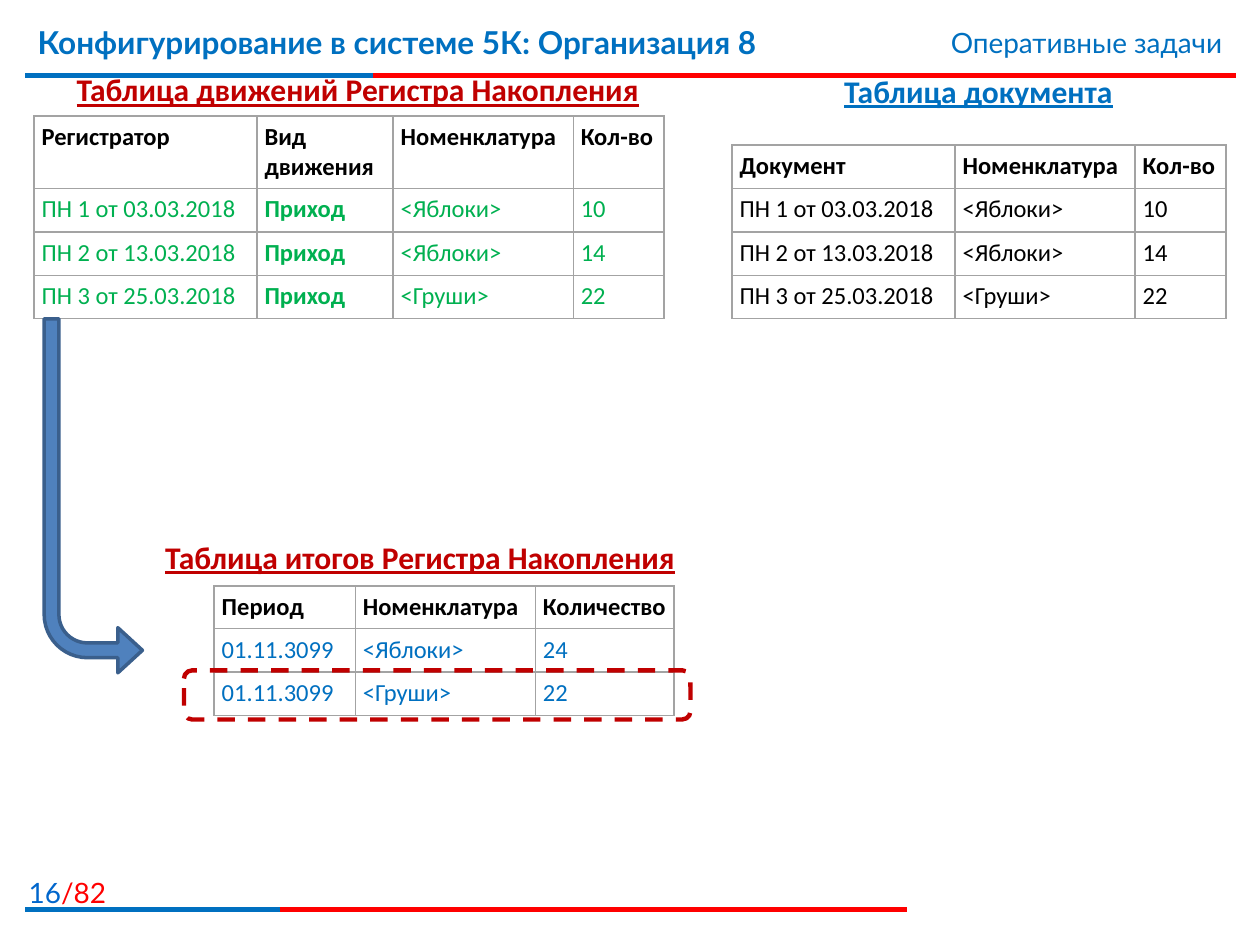
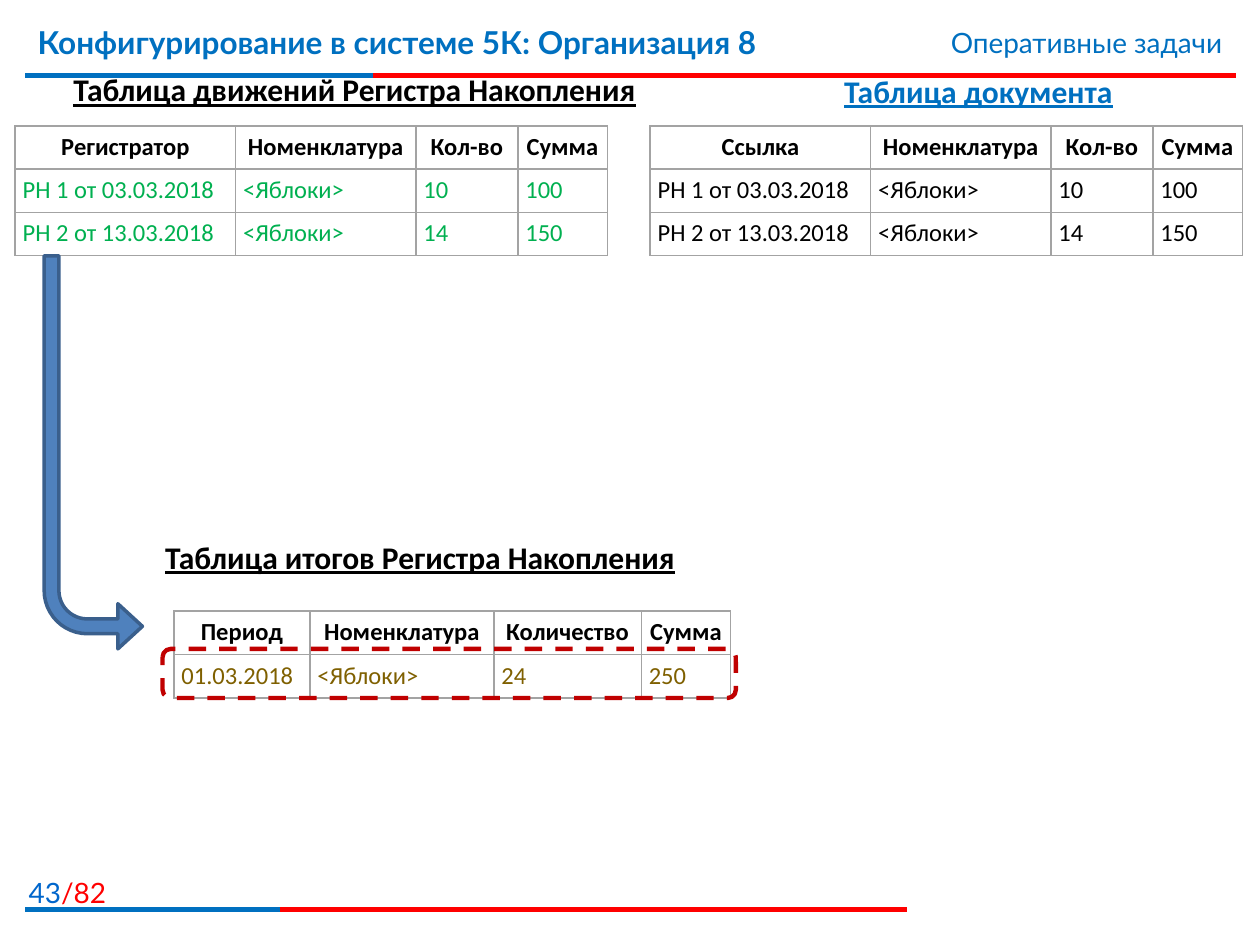
from pptx import Presentation
from pptx.dml.color import RGBColor
from pptx.enum.dml import MSO_LINE
from pptx.enum.shapes import MSO_CONNECTOR, MSO_SHAPE
from pptx.enum.text import PP_ALIGN
from pptx.oxml import parse_xml
from pptx.oxml.ns import nsdecls, qn
from pptx.oxml.xmlchemy import OxmlElement
from pptx.util import Pt

PX = 9144
ROW = 69 * PX // 2
LEFT, CENTER, RIGHT = PP_ALIGN.LEFT, PP_ALIGN.CENTER, PP_ALIGN.RIGHT
STRAIGHT, DASH = MSO_CONNECTOR.STRAIGHT, MSO_LINE.DASH
BENT, ROUND = MSO_SHAPE.BENT_ARROW, MSO_SHAPE.ROUNDED_RECTANGLE
BEND = (0.15, 0.23, 0.25, 0.44)
COLORS = {
    "blue": "0070C0", "page": "0066CC", "red": "FF0000", "crimson": "C00000",
    "green": "00B050", "olive": "7F6000", "black": "000000",
    "grid": "A3A3A3", "arrow": "4F81BD", "edge": "3A5F8C",
}
HEAD, BODY = "Lato", "Calibri"
COURSE = "Конфигурирование в системе 5К: Организация 8"
TOPIC = "Оперативные задачи"
TOTAL = "/82"
MOVES = "Таблица движений Регистра Накопления"
SUMS = "Таблица итогов Регистра Накопления"
DOCS = "Таблица документа"
RULES = [
    (60, 981, "red"), (60, 296, "blue"),
    (722, 720, "red"), (722, 222, "blue"),
]

STOCK = [
    ("ПН 1 от 03.03.2018", "<Яблоки>", "10"),
    ("ПН 2 от 13.03.2018", "<Яблоки>", "14"),
    ("ПН 3 от 25.03.2018", "<Груши>", "22"),
]
SALES = [
    ("РН 1 от 03.03.2018", "<Яблоки>", "10", "100"),
    ("РН 2 от 13.03.2018", "<Яблоки>", "14", "150"),
]
SLIDES = [
    {
        "page": "16", "tone": "crimson", "width": 512, "align": LEFT,
        "tables": [
            {"at": (170, 465), "high": 103, "cols": (112, 143, 110), "color": "blue",
             "head": ("Период", "Номенклатура", "Количество"),
             "rows": [("01.11.3099", "<Яблоки>", "24"),
                      ("01.11.3099", "<Груши>", "22")]},
            {"at": (581, 115), "high": 138, "cols": (177, 143, 72), "color": "black",
             "head": ("Документ", "Номенклатура", "Кол-во"), "rows": STOCK},
            {"at": (27, 92), "high": 161, "cols": (177, 108, 143, 72), "color": "green",
             "head": ("Регистратор", "Вид движения", "Номенклатура", "Кол-во"),
             "rows": [(doc, "Приход", item, count) for doc, item, count in STOCK]},
        ],
        "arrow": (35, 253, 78, 281), "frame": (146, 532, 402, 39),
    },
    {
        "page": "43", "tone": "black", "width": 507, "align": CENTER,
        "tables": [
            {"at": (left, 100), "high": 103, "cols": (175, 143, 81, 71), "color": color,
             "head": (name, "Номенклатура", "Кол-во", "Сумма"), "rows": SALES}
            for left, color, name in [(12, "green", "Регистратор"), (516, "black", "Ссылка")]
        ] + [
            {"at": (138, 485), "high": 69, "cols": (108, 146, 117, 71), "color": "olive",
             "head": ("Период", "Номенклатура", "Количество", "Сумма"),
             "rows": [("01.03.2018", "<Яблоки>", "24", "250")]},
        ],
        "arrow": (35, 203, 78, 312), "frame": (129, 515, 455, 39),
    },
]


def rgb(name):
    return RGBColor.from_string(COLORS[name])


def scale(box):
    return [value * PX for value in box]


def style(font, face, size, color, bold=False, under=False):
    font.name, font.size, font.bold = face, Pt(size), bold
    font.underline = under
    font.color.rgb = rgb(color)


def add_text(slide, box, text, align, *look):
    frame = slide.shapes.add_textbox(*scale(box)).text_frame
    frame.word_wrap = True
    para = frame.paragraphs[0]
    para.text = text
    para.alignment = align
    style(para.runs[0].font, *look)
    return para


def add_rule(slide, top, right, color):
    line = slide.shapes.add_connector(STRAIGHT, *scale((20, top, right, top)))
    line.line.color.rgb = rgb(color)
    line.line.width = Pt(3)
    line._element.spPr.append(OxmlElement("a:effectLst"))


def add_chrome(slide, page):
    for rule in RULES:
        add_rule(slide, *rule)
    para = add_text(slide, (-10, 690, 104, 32), page, RIGHT, HEAD, 16, "page")
    run = para.add_run()
    run.text = TOTAL
    style(run.font, HEAD, 16, "red")
    add_text(slide, (20, 13, 740, 62), COURSE, LEFT, HEAD, 18, "blue", True)
    add_text(slide, (594, 15, 386, 37), TOPIC, RIGHT, HEAD, 16, "blue")


def set_cell(cell, text, align, color, bold):
    cell.margin_left = cell.margin_right = 6 * PX
    cell.margin_top = cell.margin_bottom = 5 * PX
    para = cell.text_frame.paragraphs[0]
    para.text = text
    para.alignment = align
    style(para.runs[0].font, BODY, 14, color, bold)
    props = cell._tc.get_or_add_tcPr()
    for side in ("lnL", "lnR", "lnT", "lnB"):
        props.append(parse_xml(
            f'<a:{side} {nsdecls("a")} w="12700"><a:solidFill>'
            f'<a:srgbClr val="{COLORS["grid"]}"/></a:solidFill></a:{side}>'))
    cell.fill.background()


def add_grid(slide, spec, align):
    cols, rows = spec["cols"], [spec["head"], *spec["rows"]]
    box = scale((*spec["at"], sum(cols), spec["high"]))
    table = slide.shapes.add_table(len(rows), len(cols), *box).table
    table.first_row = table.horz_banding = False
    for col, width in zip(table.columns, cols):
        col.width = width * PX
    for i, texts in enumerate(rows):
        table.rows[i].height = ROW if i else box[3] - ROW * (len(rows) - 1)
        for j, text in enumerate(texts):
            if i:
                set_cell(table.cell(i, j), text, LEFT, spec["color"], text == "Приход")
            else:
                set_cell(table.cell(i, j), text, align, "black", True)


def add_outline(slide, kind, box, color, width):
    shape = slide.shapes.add_shape(kind, *scale(box))
    shape.shadow.inherit = False
    shape.fill.background()
    shape.line.color.rgb = rgb(color)
    shape.line.width = Pt(width)
    return shape


def add_arrow(slide, box):
    arrow = add_outline(slide, BENT, box, "edge", 2)
    arrow.fill.solid()
    arrow.fill.fore_color.rgb = rgb("arrow")
    for i, value in enumerate(BEND):
        arrow.adjustments[i] = value
    arrow.rotation = 180
    arrow._element.spPr.find(qn("a:xfrm")).set("flipH", "1")


def build(deck, data):
    slide = deck.slides.add_slide(deck.slide_layouts[6])
    add_chrome(slide, data["page"])
    for box, text, color in [
        ((556, 52, 441, 40), DOCS, "blue"),
        ((28, 51, data["width"], 40), MOVES, data["tone"]),
        ((113, 422, 441, 40), SUMS, data["tone"]),
    ]:
        add_text(slide, box, text, CENTER, BODY, 18, color, True, True)
    for spec in data["tables"]:
        add_grid(slide, spec, data["align"])
    add_arrow(slide, data["arrow"])
    frame = add_outline(slide, ROUND, data["frame"], "crimson", 2.5)
    frame.line.dash_style = DASH


def main():
    deck = Presentation()
    deck.slide_width, deck.slide_height = scale((1000, 750))
    for data in SLIDES:
        build(deck, data)
    deck.save("out.pptx")


if __name__ == "__main__":
    main()
